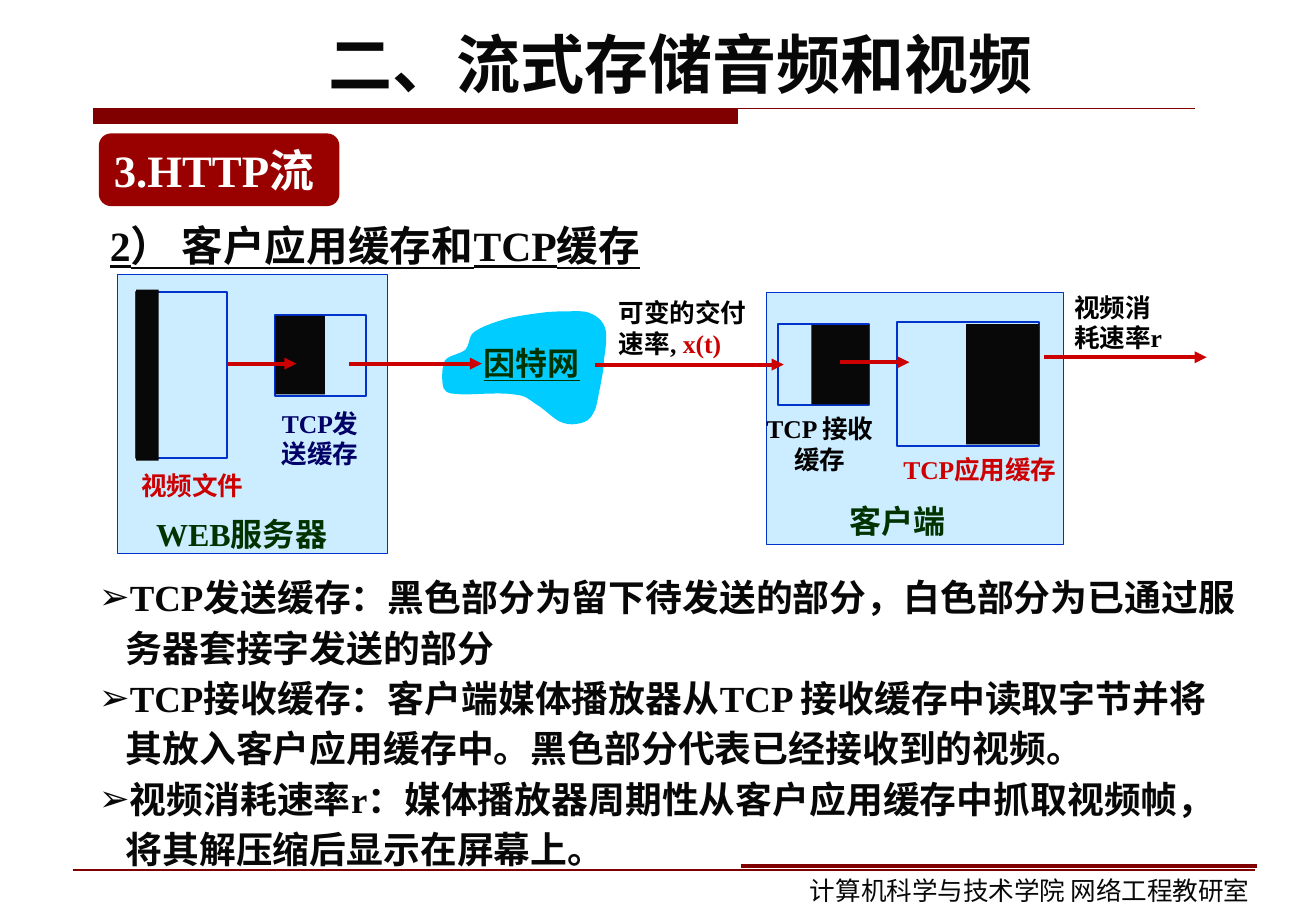
from lxml import etree
from pptx import Presentation
from pptx.dml.color import RGBColor
from pptx.enum.shapes import MSO_CONNECTOR, MSO_SHAPE
from pptx.enum.text import MSO_ANCHOR, MSO_AUTO_SIZE, PP_ALIGN
from pptx.oxml.ns import qn
from pptx.util import Cm, Pt

MAROON = RGBColor(0x80, 0x00, 0x00)
BADGE_RED = RGBColor(0x99, 0x00, 0x00)
RED = RGBColor(0xCC, 0x00, 0x00)
BLUE = RGBColor(0x00, 0x33, 0xCC)
PALE_BLUE = RGBColor(0xCC, 0xEC, 0xFF)
CYAN = RGBColor(0x00, 0xCC, 0xFF)
NAVY = RGBColor(0x00, 0x00, 0x66)
GREEN = RGBColor(0x00, 0x33, 0x00)
INK = RGBColor(0x08, 0x08, 0x08)
BLACK = RGBColor(0x00, 0x00, 0x00)
WHITE = RGBColor(0xFF, 0xFF, 0xFF)
SERIF, SANS = "Times New Roman", "Arial"

prs = Presentation()
prs.slide_width, prs.slide_height = Cm(29), Cm(20)
s = prs.slides.add_slide(prs.slide_layouts[5])


def write(tf, text, size=16, color=BLACK, font=SERIF, bold=True, underline=None,
          align=PP_ALIGN.LEFT, spacing=None, anchor=MSO_ANCHOR.TOP, wrap=True,
          bullet=None, tail=None):
    """Fill a text frame, one paragraph per line; tail is a (text, color) run."""
    tf.word_wrap, tf.auto_size, tf.vertical_anchor = wrap, MSO_AUTO_SIZE.NONE, anchor
    tf.margin_left = tf.margin_right = Cm(0.25)
    tf.margin_top = tf.margin_bottom = Cm(0.13)
    for i, line in enumerate(text.split("\n")):
        p = tf.paragraphs[0] if i == 0 else tf.add_paragraph()
        if bullet:
            pPr = p._p.get_or_add_pPr()
            pPr.set("marL", str(Cm(0.59)))
            pPr.set("indent", str(-Cm(0.59)))
            etree.SubElement(pPr, qn("a:buFont"), typeface=SANS)
            etree.SubElement(pPr, qn("a:buChar"), char=bullet)
        p.alignment, p.line_spacing = align, spacing
        for run_text, run_color in [(line, color)] + ([tail] if tail else []):
            r = p.add_run()
            r.text = run_text
            r.font.size, r.font.name, r.font.bold = Pt(size), font, bold
            r.font.underline = underline
            r.font.color.rgb = run_color


def add_line(x1, y1, x2, y2, color, width, arrow=False):
    line = s.shapes.add_connector(MSO_CONNECTOR.STRAIGHT, Cm(x1), Cm(y1), Cm(x2), Cm(y2))
    line.line.color.rgb, line.line.width = color, Pt(width)
    if arrow:
        etree.SubElement(line.line._get_or_add_ln(), qn("a:tailEnd"), type="triangle")
    etree.SubElement(line._element.spPr, qn("a:effectLst"))


# Title
title = s.shapes.title
title.left, title.top, title.width, title.height = Cm(1.7), Cm(0.38), Cm(26.6), Cm(2)
write(title.text_frame, "二、流式存储音频和视频", size=40, color=INK,
      align=PP_ALIGN.CENTER, anchor=MSO_ANCHOR.MIDDLE)

# Title bar with its thin rule, in hundredths of a cm
builder = s.shapes.build_freeform(207, 239, scale=Cm(0.01))
builder.add_line_segments([(1625, 239), (1625, 272), (207, 272)], close=True)
builder.move_to(207, 239)
builder.add_line_segments([(2634, 239)], close=False)
bar = builder.convert_to_shape()
bar.shadow.inherit = False
bar.fill.solid()
bar.fill.fore_color.rgb = MAROON
bar.line.color.rgb, bar.line.width = MAROON, Pt(0.75)

# Rules above the footer
add_line(1.6, 19.16, 27.66, 19.16, MAROON, 1.5)
add_line(16.33, 19.07, 27.71, 19.07, MAROON, 2.25)

# Hosts, and buffers with their black filled parts
for x, y, w, h, fill, line_width in [
    (16.89, 6.45, 6.55, 5.55, PALE_BLUE, 0.75),  # client
    (2.59, 6.05, 5.95, 6.15, PALE_BLUE, 0.75),   # web server
    (3, 6.43, 2, 3.67, None, 1.25),              # video file
    (3, 6.38, 0.5, 3.77, INK, None),
    (6.07, 6.94, 2, 1.78, None, 1.25),           # send buffer
    (6.07, 6.96, 1.09, 1.73, INK, None),
    (17.15, 7.13, 2, 1.8, None, 1.25),           # receive buffer
    (17.88, 7.16, 1.27, 1.75, INK, None),
    (19.76, 7.1, 3.14, 2.73, None, 1.25),        # application buffer
    (21.29, 7.14, 1.61, 2.65, INK, None),
]:
    sp = s.shapes.add_shape(MSO_SHAPE.RECTANGLE, Cm(x), Cm(y), Cm(w), Cm(h))
    sp.shadow.inherit = False
    if fill is None:
        sp.fill.background()
    else:
        sp.fill.solid()
        sp.fill.fore_color.rgb = fill
    if line_width is None:
        sp.line.fill.background()
    else:
        sp.line.color.rgb, sp.line.width = BLUE, Pt(line_width)

# Section badge
sp = s.shapes.add_shape(MSO_SHAPE.ROUNDED_RECTANGLE, Cm(2.18), Cm(2.94), Cm(5.3), Cm(1.6))
sp.shadow.inherit = False
sp.fill.solid()
sp.fill.fore_color.rgb = BADGE_RED
sp.line.fill.background()
write(sp.text_frame, "3.HTTP流", size=28, color=WHITE, anchor=MSO_ANCHOR.MIDDLE, wrap=False)

# Internet cloud: Bezier curves (two controls and an end) in hundredths of a cm
cloud_start = (1201, 688)
cloud_curves = [
    ((1179, 691), (1135, 696), (1110, 704)),
    ((1085, 711), (1059, 721), (1044, 732)),
    ((1031, 744), (1036, 759), (1026, 770)),
    ((1016, 780), (988, 782), (980, 795)),
    ((973, 810), (973, 843), (978, 856)),
    ((986, 869), (993, 866), (1019, 869)),
    ((1044, 869), (1107, 864), (1133, 869)),
    ((1161, 871), (1166, 881), (1184, 892)),
    ((1201, 902), (1222, 925), (1237, 930)),
    ((1255, 937), (1267, 935), (1280, 932)),
    ((1290, 930), (1300, 925), (1308, 909)),
    ((1316, 897), (1318, 871), (1323, 851)),
    ((1326, 831), (1331, 815), (1331, 792)),
    ((1334, 772), (1339, 742), (1334, 724)),
    ((1328, 706), (1316, 696), (1303, 691)),
    ((1288, 683), (1262, 686), (1247, 686)),
    ((1229, 686), (1224, 686), cloud_start),
]
ends = [curve[-1] for curve in cloud_curves]
left, top = (min(values) for values in zip(*ends))
builder = s.shapes.build_freeform(*cloud_start, scale=Cm(0.01))
builder.add_line_segments(ends, close=True)
cloud = builder.convert_to_shape()
for segment, curve in zip(list(cloud._element.iter(qn("a:lnTo"))), cloud_curves):
    bezier = etree.Element(qn("a:cubicBezTo"))
    for x, y in curve:
        etree.SubElement(bezier, qn("a:pt"), x=str(x - left), y=str(y - top))
    segment.getparent().replace(segment, bezier)
cloud.shadow.inherit = False
cloud.fill.solid()
cloud.fill.fore_color.rgb = CYAN
cloud.line.fill.background()

# Data flow arrows
for x1, x2, y in [(5.03, 6.53, 8.01), (7.7, 10.62, 8.01), (13.11, 17.27, 8.03),
                  (18.52, 20.04, 7.98), (23.01, 26.59, 7.87)]:
    add_line(x1, y, x2, y, RED, 2.5, arrow=True)

# Text boxes: left, top, width, height, text, format
centered = dict(align=PP_ALIGN.CENTER)
host = dict(size=20, color=GREEN)
explanation = (
    "TCP发送缓存：黑色部分为留下待发送的部分，白色部分为已通过服务器套接字发送的部分\n"
    "TCP接收缓存：客户端媒体播放器从TCP 接收缓存中读取字节并将其放入客户应用缓存中。"
    "黑色部分代表已经接收到的视频。\n"
    "视频消耗速率r：媒体播放器周期性从客户应用缓存中抓取视频帧，将其解压缩后显示在屏幕上。"
)
for x, y, w, h, text, fmt in [
    (2.17, 4.5, 25.17, 1.57, "2） 客户应用缓存和TCP缓存",
     dict(size=26, color=INK, underline=True, spacing=1.2)),
    (13.39, 6.41, 3.38, 1.63, "可变的交付速率, ", dict(tail=("x(t)", RED))),
    (23.42, 6.29, 2.72, 1.63, "视频消耗速率r", {}),
    (5.76, 8.85, 2.59, 1.63, "TCP发送缓存", dict(color=NAVY, **centered)),
    (2.59, 10.22, 3.3, 0.94, "视频文件", dict(color=RED, font=SANS, **centered)),
    (16.42, 8.97, 3.3, 1.63, "TCP 接收缓存", centered),
    (19.64, 9.87, 3.91, 1.63, "TCP应用缓存", dict(color=RED, **centered)),
    (3.19, 11.2, 4.78, 1.12, "WEB服务器", host),
    (18.47, 10.91, 3.63, 1.12, "客户端", dict(font=SANS, **host)),
    (10.41, 7.44, 2.97, 1.12, "因特网", dict(font=SANS, underline=True, **host)),
    (1.93, 12.4, 25.68, 6.91, explanation,
     dict(size=23, color=INK, spacing=1.14, bullet="➢")),
    (17.6, 19.14, 10.67, 0.94, "计算机科学与技术学院 网络工程教研室",
     dict(color=INK, font=SANS, bold=False)),
]:
    box = s.shapes.add_textbox(Cm(x), Cm(y), Cm(w), Cm(h))
    write(box.text_frame, text, **fmt)

prs.save("out.pptx")
